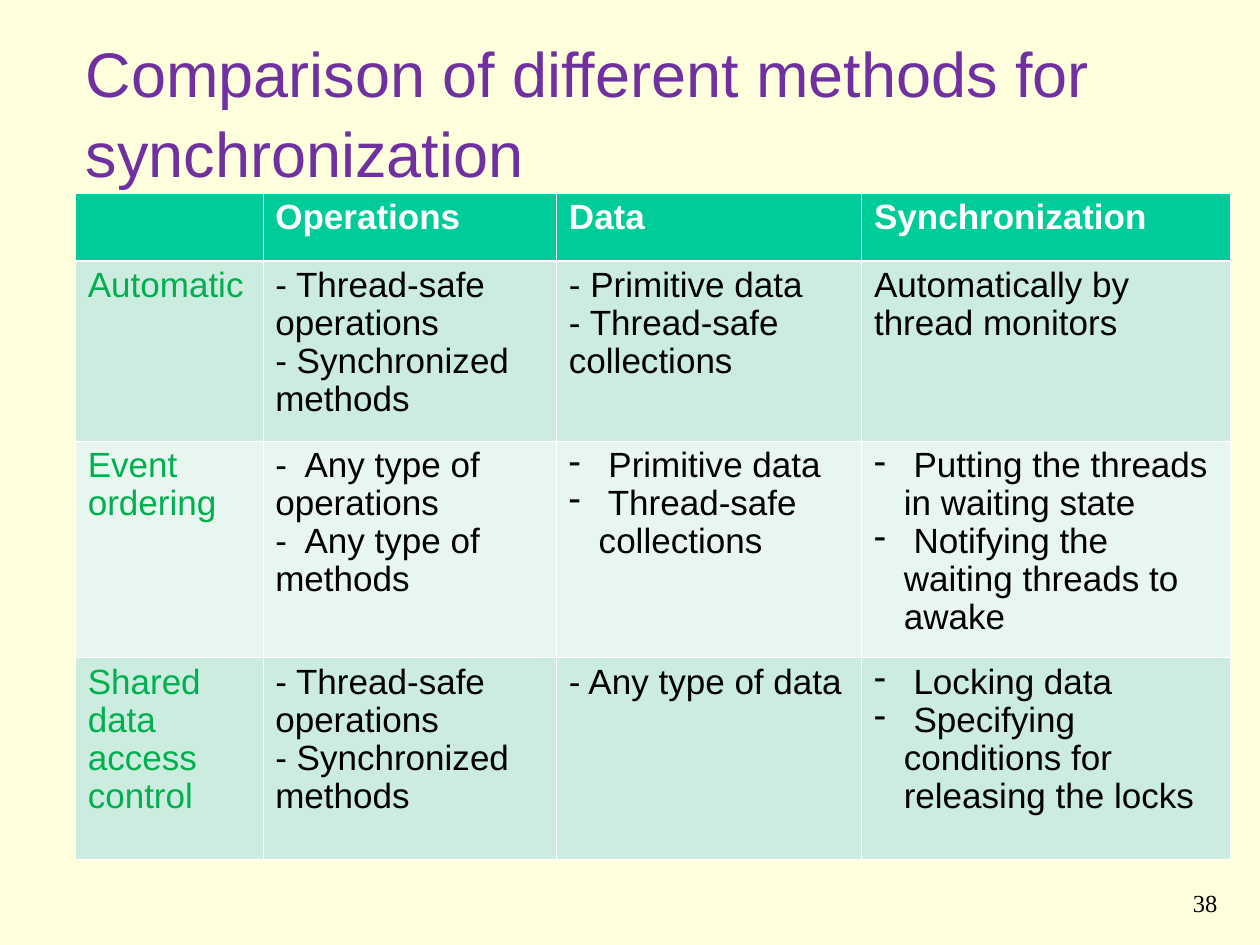
from dataclasses import dataclass

from lxml import etree
from pptx import Presentation
from pptx.dml.color import RGBColor
from pptx.enum import text
from pptx.oxml import ns
from pptx.util import Cm, Pt


@dataclass(frozen=True)
class Theme:
    background: str = "FFFFDD"
    title: str = "7030A0"
    ink: str = "000000"
    label: str = "00B050"
    header: str = "00CC99"
    bands: tuple = ("CBECDE", "E7F6EF")
    rule: str = "FFFFFF"
    font: str = "Arial"
    number_font: str = "Times New Roman"
    title_size: int = 36
    body_size: int = 20
    number_size: int = 14
    thin: float = 0.45
    thick: float = 1.47


THEME = Theme()
INSET_X, INSET_Y = Cm(0.25), Cm(0.13)
COLUMNS = (3.78, 5.92, 6.15, 7.44)
ROWS = (1.37, 3.63, 4.19, 4.06)
HEADINGS = ("", "Operations", "Data", "Synchronization")
SAFE_OPERATIONS = ("- Thread-safe operations", "- Synchronized methods")
# A paragraph starting with a space hangs from a dash bullet.
METHODS = (
    (("Automatic",), SAFE_OPERATIONS,
     ("- Primitive data", "- Thread-safe collections"),
     ("Automatically by thread monitors",)),
    (("Event ordering",),
     ("-  Any type of operations", "-  Any type of methods"),
     (" Primitive data", " Thread-safe collections"),
     (" Putting the threads in waiting state",
      " Notifying the waiting threads to awake")),
    (("Shared data access control",), SAFE_OPERATIONS,
     ("- Any type of data",),
     (" Locking data", " Specifying conditions for releasing the locks")),
)


def rgb(color):
    return RGBColor.from_string(color)


def add_dash(p):
    pPr = p._p.get_or_add_pPr()
    pPr.set("marL", str(Cm(0.6)))
    pPr.set("indent", str(-Cm(0.6)))
    etree.SubElement(pPr, ns.qn("a:buFontTx"))
    etree.SubElement(pPr, ns.qn("a:buChar"), char="-")


def write(tf, lines, *, size=THEME.body_size, color=THEME.ink, font=THEME.font,
          bold=False, align=text.PP_ALIGN.LEFT, spacing=0.97):
    """Fill a text frame with one paragraph for each line."""
    for i, line in enumerate(lines):
        p = tf.add_paragraph() if i else tf.paragraphs[0]
        p.alignment = align
        p.line_spacing = spacing
        if line.startswith(" "):
            add_dash(p)
        r = p.add_run()
        r.text = line
        r.font.size = Pt(size)
        r.font.name = font
        r.font.bold = bold
        r.font.color.rgb = rgb(color)


def add_text(s, box, line, anchor=text.MSO_ANCHOR.TOP, **style):
    tf = s.shapes.add_textbox(*box).text_frame
    tf.word_wrap = True
    tf.vertical_anchor = anchor
    tf.margin_left = tf.margin_right = INSET_X
    tf.margin_top = tf.margin_bottom = INSET_Y
    write(tf, [line], **style)


def set_borders(cell, top, bottom):
    """Rule all four sides; top and bottom are widths in points."""
    tcPr = cell._tc.get_or_add_tcPr()
    sides = (("L", THEME.thin), ("R", THEME.thin), ("T", top), ("B", bottom))
    for i, (side, width) in enumerate(sides):
        ln = etree.Element(ns.qn(f"a:ln{side}"), w=str(Pt(width)))
        fill = etree.SubElement(ln, ns.qn("a:solidFill"))
        etree.SubElement(fill, ns.qn("a:srgbClr"), val=THEME.rule)
        tcPr.insert(i, ln)


def style_cell(cell, row):
    cell.margin_left = cell.margin_right = INSET_X
    cell.margin_top = cell.margin_bottom = INSET_Y
    cell.fill.solid()
    fill = THEME.bands[(row - 1) % 2] if row else THEME.header
    cell.fill.fore_color.rgb = rgb(fill)
    set_borders(cell, THEME.thick if row == 1 else THEME.thin,
                THEME.thin if row else THEME.thick)


def add_comparison(s, left, top):
    table = s.shapes.add_table(len(ROWS), len(COLUMNS), left, top,
                               Cm(sum(COLUMNS)), Cm(sum(ROWS))).table
    table.horz_banding = False
    for column, width in zip(table.columns, COLUMNS):
        column.width = Cm(width)
    for row, height in zip(table.rows, ROWS):
        row.height = Cm(height)
    for j, heading in enumerate(HEADINGS):
        style_cell(table.cell(0, j), 0)
        if heading:
            write(table.cell(0, j).text_frame, [heading],
                  color=THEME.rule, bold=True)
    for i, method in enumerate(METHODS, 1):
        for j, lines in enumerate(method):
            style_cell(table.cell(i, j), i)
            write(table.cell(i, j).text_frame, lines,
                  color=THEME.ink if j else THEME.label)


def main():
    prs = Presentation()
    prs.slide_width, prs.slide_height = Cm(25.4), Cm(19.05)
    s = prs.slides.add_slide(prs.slide_layouts[6])
    s.background.fill.solid()
    s.background.fill.fore_color.rgb = rgb(THEME.background)
    add_text(s, (Cm(1.48), Cm(0.64), Cm(22.86), Cm(3.18)),
             "Comparison of different methods for synchronization",
             anchor=text.MSO_ANCHOR.MIDDLE, size=THEME.title_size,
             color=THEME.title, spacing=1.05)
    add_comparison(s, Cm(1.52), Cm(3.89))
    add_text(s, (Cm(23.06), Cm(17.78), Cm(1.73), Cm(1.27)), "38",
             size=THEME.number_size, font=THEME.number_font,
             align=text.PP_ALIGN.RIGHT, spacing=1.0)
    prs.save("out.pptx")


if __name__ == "__main__":
    main()
